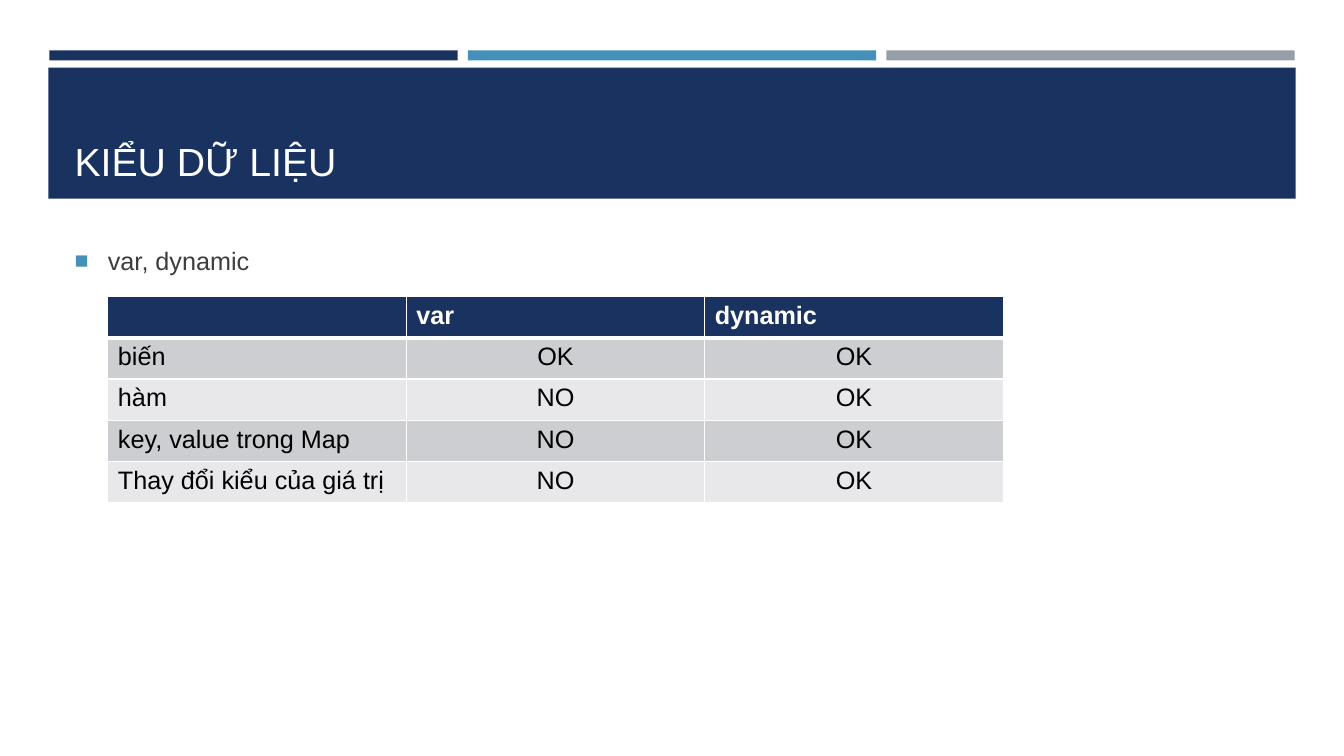
from lxml import etree
from pptx import Presentation
from pptx import util as u
from pptx.dml.color import RGBColor
from pptx.enum import shapes, text
from pptx.oxml import ns

NAVY = RGBColor(0x1A, 0x32, 0x60)
BLUE = RGBColor(0x45, 0x90, 0xB8)
GRAY = RGBColor(0x96, 0x9F, 0xA7)
WHITE = RGBColor(0xFF, 0xFF, 0xFF)
BLACK = RGBColor(0, 0, 0)
INK = RGBColor(0x3D, 0x3D, 0x3D)
BAND_DARK = RGBColor(0xCD, 0xCE, 0xD2)
BAND_LIGHT = RGBColor(0xE8, 0xE8, 0xEA)

FONT = "Arial"
PAGE_WIDTH, PAGE_HEIGHT = 13.33, 7.5
BAR_LEFT, BAR_WIDTH, BAR_STEP = 0.49, 4.05, 4.15
TEXT_LEFT, TEXT_WIDTH = 0.64, 12.06
COLUMN_WIDTH, ROW_HEIGHT = 2.96, 0.41

ROWS = [
    ("", "var", "dynamic"),
    ("biến", "OK", "OK"),
    ("hàm", "NO", "OK"),
    ("key, value trong Map", "NO", "OK"),
    ("Thay đổi kiểu của giá trị", "NO", "OK"),
]


def write(frame, words, size=18, color=BLACK, bold=False, align=text.PP_ALIGN.LEFT):
    para = frame.paragraphs[0]
    para.alignment = align
    span = para.add_run()
    span.text = words
    span.font.name = FONT
    span.font.size = u.Pt(size)
    span.font.bold = bold
    span.font.color.rgb = color
    return para


def add_bar(page, left, top, width, height, color):
    bar = page.shapes.add_shape(
        shapes.MSO_SHAPE.RECTANGLE, *map(u.Inches, (left, top, width, height)))
    bar.shadow.inherit = False
    bar.fill.solid()
    bar.fill.fore_color.rgb = color
    bar.line.fill.background()


def place(page, box, top, height, anchor):
    box.left, box.top = u.Inches(TEXT_LEFT), u.Inches(top)
    box.width, box.height = u.Inches(TEXT_WIDTH), u.Inches(height)
    box.text_frame.vertical_anchor = anchor
    page.shapes.element.append(box.element)


def add_bullet(para, indent):
    props = para._p.get_or_add_pPr()
    props.set("marL", str(u.Inches(indent)))
    props.set("indent", str(-u.Inches(indent)))
    color = etree.SubElement(props, ns.qn("a:buClr"))
    etree.SubElement(color, ns.qn("a:srgbClr"), val=str(BLUE))
    etree.SubElement(props, ns.qn("a:buSzPct"), val="92000")
    etree.SubElement(props, ns.qn("a:buFont"), typeface=FONT)
    etree.SubElement(props, ns.qn("a:buChar"), char="■")


def set_borders(cell, top, bottom):
    props = cell._tc.get_or_add_tcPr()
    widths = {"a:lnL": 1, "a:lnR": 1, "a:lnT": top, "a:lnB": bottom}
    for index, (side, width) in enumerate(widths.items()):
        line = etree.Element(ns.qn(side), w=str(u.Pt(width)))
        fill = etree.SubElement(line, ns.qn("a:solidFill"))
        etree.SubElement(fill, ns.qn("a:srgbClr"), val=str(WHITE))
        props.insert(index, line)


def add_grid(page, left, top, rows):
    columns = len(rows[0])
    table = page.shapes.add_table(
        len(rows), columns, u.Inches(left), u.Inches(top),
        u.Inches(columns * COLUMN_WIDTH), u.Inches(len(rows) * ROW_HEIGHT)).table
    for r, row in enumerate(rows):
        header = r == 0
        fill = NAVY if header else BAND_DARK if r % 2 else BAND_LIGHT
        for c, words in enumerate(row):
            cell = table.cell(r, c)
            cell.fill.solid()
            cell.fill.fore_color.rgb = fill
            set_borders(cell, top=3 if r == 1 else 1, bottom=3 if header else 1)
            centred = c > 0 and not header
            if words:
                write(cell.text_frame, words, bold=header,
                      color=WHITE if header else BLACK,
                      align=text.PP_ALIGN.CENTER if centred else text.PP_ALIGN.LEFT)


def main():
    deck = Presentation()
    deck.slide_width, deck.slide_height = u.Inches(PAGE_WIDTH), u.Inches(PAGE_HEIGHT)
    page = deck.slides.add_slide(deck.slide_layouts[1])

    for column, color in enumerate((NAVY, BLUE, GRAY)):
        add_bar(page, BAR_LEFT + column * BAR_STEP, 0.5, BAR_WIDTH, 0.1, color)
    add_bar(page, 0.48, 0.67, 12.37, 1.3, NAVY)

    title, body = page.shapes.title, page.placeholders[1]
    place(page, title, 0.77, 1.11, text.MSO_ANCHOR.BOTTOM)
    write(title.text_frame, "KIỂU DỮ LIỆU", size=28, color=WHITE)

    place(page, body, 2.38, 4.02, text.MSO_ANCHOR.TOP)
    para = write(body.text_frame, "var, dynamic", color=INK)
    para.space_before, para.space_after = u.Pt(3.6), u.Pt(6)
    add_bullet(para, 0.33)

    add_grid(page, 1.07, 2.94, ROWS)
    deck.save("out.pptx")


if __name__ == "__main__":
    main()
